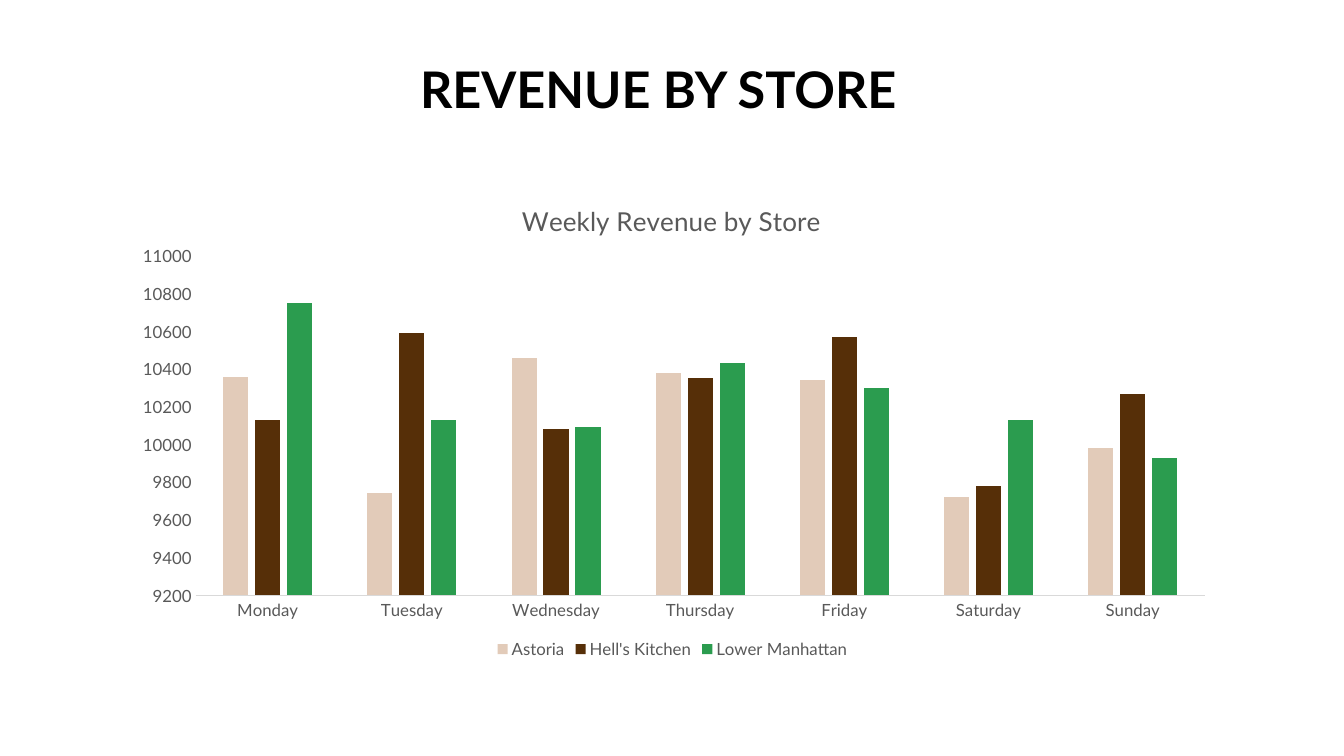
from lxml import etree
from pptx import Presentation
from pptx.chart.data import CategoryChartData
from pptx.dml.color import RGBColor
from pptx.enum.chart import XL_CHART_TYPE as ChartType
from pptx.enum.chart import XL_LEGEND_POSITION as LegendPosition
from pptx.enum.chart import XL_TICK_MARK as TickMark
from pptx.enum.text import MSO_ANCHOR as Anchor
from pptx.enum.text import PP_ALIGN as Align
from pptx.oxml.ns import qn
from pptx.util import Inches, Pt

# Content
HEADING = "REVENUE BY STORE"
CHART_TITLE = "Weekly Revenue by Store"
DAYS = ["Monday", "Tuesday", "Wednesday", "Thursday", "Friday", "Saturday", "Sunday"]
STORES = [
    ("Astoria", "E2CBB9", [10360, 9740, 10460, 10380, 10340, 9720, 9980]),
    ("Hell's Kitchen", "562F08", [10130, 10590, 10080, 10350, 10570, 9780, 10270]),
    ("Lower Manhattan", "2B9C4F", [10750, 10130, 10090, 10430, 10300, 10130, 9930]),
]

# Formats
GREY = "595959"
HEADING_FONT = {"name": "Lato", "size": Pt(36), "bold": True}
TITLE_FONT = {"name": "Lato", "size": Pt(18.6), "bold": False}
LABEL_FONT = {"name": "Lato", "size": Pt(12), "bold": False}
HEADING_FRAME = {
    "word_wrap": True, "vertical_anchor": Anchor.MIDDLE,
    "margin_left": Inches(0.1), "margin_right": Inches(0.37),
    "margin_top": 0, "margin_bottom": 0,
}
AXIS_FORMAT = {
    "major_tick_mark": TickMark.NONE, "minor_tick_mark": TickMark.NONE,
    "has_major_gridlines": False,
}
VALUE_SCALE = {"minimum_scale": 9200, "maximum_scale": 11000, "major_unit": 200}

# Fractions of the chart area
TITLE_PLACE = {"xMode": "edge", "yMode": "edge", "x": 0.36, "y": 0.04}
PLOT_PLACE = {
    "layoutTarget": "inner", "xMode": "edge", "yMode": "edge",
    "x": 0.07, "y": 0.16, "w": 0.91, "h": 0.7,
}


def set_format(target, values):
    for name, value in values.items():
        setattr(target, name, value)


def set_color(color, code):
    color.rgb = RGBColor.from_string(code)


def set_font(font, values, code):
    set_format(font, values)
    set_color(font.color, code)


def set_place(element, index, values):
    for layout in element.findall(qn("c:layout")):
        element.remove(layout)
    layout = etree.Element(qn("c:layout"))
    manual = etree.SubElement(layout, qn("c:manualLayout"))
    for name, value in values.items():
        etree.SubElement(manual, qn("c:" + name)).set("val", str(value))
    element.insert(index, layout)


presentation = Presentation()
presentation.slide_width = Inches(13.33)
presentation.slide_height = Inches(7.5)
slide = presentation.slides.add_slide(presentation.slide_layouts[6])

# Heading
heading = slide.shapes.add_textbox(Inches(1.04), Inches(0.53), Inches(11.25), Inches(0.7))
set_format(heading.text_frame, HEADING_FRAME)
paragraph = heading.text_frame.paragraphs[0]
paragraph.text = HEADING
paragraph.alignment = Align.CENTER
set_font(paragraph.font, HEADING_FONT, "000000")

# Chart
data = CategoryChartData()
data.categories = DAYS
for store, _, revenue in STORES:
    data.add_series(store, revenue)
chart = slide.shapes.add_chart(
    ChartType.COLUMN_CLUSTERED, Inches(1.17), Inches(1.77), Inches(11), Inches(4.81), data
).chart
set_font(chart.font, LABEL_FONT, GREY)

plot = chart.plots[0]
set_format(plot, {"gap_width": 219, "overlap": -27, "vary_by_categories": False})
for series, (_, code, _) in zip(plot.series, STORES):
    series.format.fill.solid()
    set_color(series.format.fill.fore_color, code)

# Chart title
chart.has_title = True
title_paragraph = chart.chart_title.text_frame.paragraphs[0]
title_paragraph.text = CHART_TITLE
set_font(title_paragraph.font, TITLE_FONT, GREY)

# Axes
for axis in (chart.category_axis, chart.value_axis):
    set_format(axis, AXIS_FORMAT)
    set_font(axis.tick_labels.font, LABEL_FONT, GREY)
set_format(chart.value_axis, VALUE_SCALE)
chart.value_axis.format.line.fill.background()
set_color(chart.category_axis.format.line.color, "D9D9D9")
chart.category_axis.format.line.width = Pt(0.75)

# Legend
chart.has_legend = True
set_format(chart.legend, {"position": LegendPosition.BOTTOM, "include_in_layout": False})
set_font(chart.legend.font, LABEL_FONT, GREY)

# Places of the chart title and the plot
chart_element = chart.element if hasattr(chart, "element") else chart._chartSpace
set_place(chart_element.find(".//" + qn("c:title")), 1, TITLE_PLACE)
set_place(chart_element.find(".//" + qn("c:plotArea")), 0, PLOT_PLACE)

presentation.save("out.pptx")
